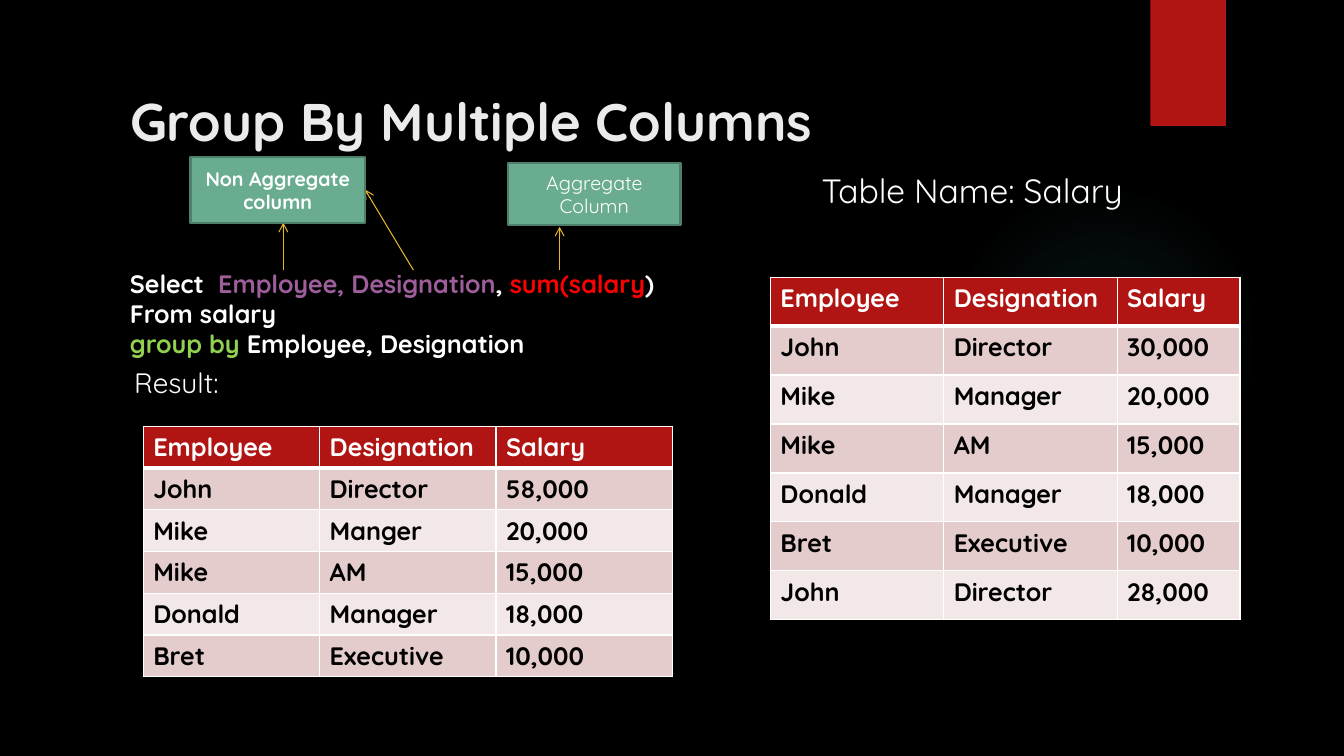
from pptx import Presentation
from pptx import util as u
from pptx.dml.color import RGBColor
from pptx.enum import shapes, text
from pptx.oxml import parse_xml
from pptx.oxml.ns import nsdecls, qn
from lxml import etree

PX = 9144
FONT = "Quicksand"
COLORS = {
    "black": "000000", "white": "FFFFFF", "title": "EBEBEB", "red": "B01513",
    "glow": "50B9C1", "box": "6AAC90", "box_line": "4E7F6B", "arrow": "E6B729",
    "purple": "9E5E9B", "sum": "FF0000", "green": "92D050",
    "band": "E4CCCC", "light": "F2E8E7",
}
HEADER = ("Employee", "Designation", "Salary")
RESULT_ROWS = [
    HEADER,
    ("John", "Director", "58,000"),
    ("Mike", "Manger", "20,000"),
    ("Mike", "AM", "15,000"),
    ("Donald", "Manager", "18,000"),
    ("Bret", "Executive", "10,000"),
]
SALARY_ROWS = [
    HEADER,
    ("John", "Director", "30,000"),
    ("Mike", "Manager", "20,000"),
    ("Mike", "AM", "15,000"),
    ("Donald", "Manager", "18,000"),
    ("Bret", "Executive", "10,000"),
    ("John", "Director", "28,000"),
]
QUERY = [
    [("Select  ", "white"), ("Employee, Designation", "purple"), (", ", "white"),
     ("sum(salary", "sum"), (")", "white")],
    [("From salary", "white")],
    [("group by ", "green"), ("Employee, Designation", "white")],
]


def px(*lengths):
    """Turn px lengths into EMU."""
    return [u.Emu(length * PX) for length in lengths]


def rgb(name):
    """Look up a named colour."""
    return RGBColor.from_string(COLORS[name])


def write_text(frame, paragraphs, size=18, color="white", bold=False,
               align=text.PP_ALIGN.LEFT, anchor=text.MSO_ANCHOR.TOP):
    """Fill a text frame with a string or with lists of (text, colour) runs."""
    if isinstance(paragraphs, str):
        paragraphs = [[(paragraphs, color)]]
    frame.word_wrap = True
    frame.auto_size = text.MSO_AUTO_SIZE.NONE
    frame.vertical_anchor = anchor
    for index, runs in enumerate(paragraphs):
        paragraph = frame.add_paragraph() if index else frame.paragraphs[0]
        paragraph.alignment = align
        paragraph.space_before = u.Pt(0)
        for words, run_color in runs:
            run = paragraph.add_run()
            run.text = words
            run.font.name = FONT
            run.font.size = u.Pt(size)
            run.font.bold = bold
            run.font.color.rgb = rgb(run_color)


def add_text(slide, box, paragraphs, **style):
    """Add a text box."""
    write_text(slide.shapes.add_textbox(*px(*box)).text_frame, paragraphs, **style)


def add_box(slide, kind, box, fill, line=None):
    """Add a preset shape with a flat fill and an optional outline."""
    shape = slide.shapes.add_shape(kind, *px(*box))
    shape.shadow.inherit = False
    shape.fill.solid()
    shape.fill.fore_color.rgb = rgb(fill)
    if line:
        shape.line.color.rgb = rgb(line)
        shape.line.width = u.Pt(1.5)
    else:
        shape.line.fill.background()
    return shape


def add_arrow(slide, start, end):
    """Add a thin line with an open arrowhead at its end."""
    arrow = slide.shapes.add_connector(shapes.MSO_CONNECTOR.STRAIGHT, *px(*start, *end))
    arrow.line.color.rgb = rgb("arrow")
    arrow.line.width = u.Pt(0.75)
    etree.SubElement(arrow.line._get_or_add_ln(), qn("a:tailEnd"), type="arrow")
    etree.SubElement(arrow._element.spPr, qn("a:effectLst"))


def add_backdrop(slide, box):
    """Draw the black ground, the faint glow and the red tab."""
    left, top, _, _ = box
    slide.background.fill.solid()
    slide.background.fill.fore_color.rgb = rgb("black")
    glow = add_box(slide, shapes.MSO_SHAPE.OVAL, (left + 941, top + 183, 308, 308), "glow")
    stops = "".join(
        f'<a:gs pos="{position * 1000}"><a:srgbClr val="{COLORS["glow"]}">'
        f'<a:alpha val="{alpha * 1000}"/></a:srgbClr></a:gs>'
        for position, alpha in ((0, 7), (36, 6), (69, 0)))
    gradient = parse_xml(
        f'<a:gradFill {nsdecls("a")}><a:gsLst>{stops}</a:gsLst><a:path path="circle">'
        '<a:fillToRect l="50000" t="50000" r="50000" b="50000"/></a:path></a:gradFill>')
    properties = glow._element.spPr
    properties.replace(properties.find(qn("a:solidFill")), gradient)
    add_box(slide, shapes.MSO_SHAPE.RECTANGLE, (left + 1141, top, 75, 125), "red")


def fill_placeholder(placeholder, box, words, **style):
    """Move a placeholder to the box and write unbulleted text in it."""
    placeholder.left, placeholder.top, placeholder.width, placeholder.height = px(*box)
    write_text(placeholder.text_frame, words, **style)
    properties = placeholder.text_frame.paragraphs[0]._p.get_or_add_pPr()
    properties.set("indent", "0")
    properties.set("marL", "0")
    etree.SubElement(properties, qn("a:buNone"))


def add_callout(slide, box, words, bold):
    """Add a green label box."""
    shape = add_box(slide, shapes.MSO_SHAPE.RECTANGLE, box, "box", "box_line")
    write_text(shape.text_frame, words, size=14, bold=bold,
               align=text.PP_ALIGN.CENTER, anchor=text.MSO_ANCHOR.MIDDLE)


def add_query(slide, box):
    """Place the query with its two callouts and their arrows."""
    left, top, width, height = box
    for start, end in (((291, 112), (243, 32)), ((436, 112), (436, 69)),
                       ((162, 112), (162, 65))):
        add_arrow(slide, (left + start[0], top + start[1]), (left + end[0], top + end[1]))
    add_text(slide, (left, top + 105, width, height - 105), QUERY, bold=True)
    add_callout(slide, (left + 70, top, 173, 65), "Non Aggregate column", True)
    add_callout(slide, (left + 385, top + 6, 171, 61), "Aggregate Column", False)


def set_borders(cell, row):
    """Draw white cell borders, thicker under the header."""
    properties = cell._tc.get_or_add_tcPr()
    weights = {"L": 1, "R": 1, "T": 3 if row == 1 else 1, "B": 3 if row == 0 else 1}
    for side, points in weights.items():
        properties.append(parse_xml(
            f'<a:ln{side} {nsdecls("a")} w="{u.Pt(points)}"><a:solidFill>'
            f'<a:srgbClr val="{COLORS["white"]}"/></a:solidFill></a:ln{side}>'))


def add_data_table(slide, box, rows, widths):
    """Add a banded table with a red header."""
    table = slide.shapes.add_table(len(rows), len(widths), *px(*box)).table
    for column, width in zip(table.columns, px(*widths)):
        column.width = width
    for row, values in enumerate(rows):
        for column, value in enumerate(values):
            cell = table.cell(row, column)
            set_borders(cell, row)
            cell.fill.solid()
            cell.fill.fore_color.rgb = rgb(("light", "band")[row % 2] if row else "red")
            write_text(cell.text_frame, value, bold=True, color="black" if row else "white")


def main():
    """Build and save the slide."""
    presentation = Presentation()
    presentation.slide_width, presentation.slide_height = px(1333, 750)
    slide = presentation.slides.add_slide(presentation.slide_layouts[1])
    title, body = slide.placeholders
    add_backdrop(slide, (0, 0, 1333, 750))
    fill_placeholder(title, (119, 83, 1024, 70), "Group By Multiple Columns",
                     size=37.8, color="title", bold=True)
    fill_placeholder(body, (123, 358, 400, 50), "Result:", size=20)
    add_query(slide, (119, 156, 560, 267))
    add_data_table(slide, (142, 423, 525, 240), RESULT_ROWS, (175, 175, 175))
    add_text(slide, (805, 164, 356, 50), "Table Name: Salary", size=24)
    add_data_table(slide, (764, 275, 466, 340), SALARY_ROWS, (172, 172, 122))
    presentation.save("out.pptx")


if __name__ == "__main__":
    main()
